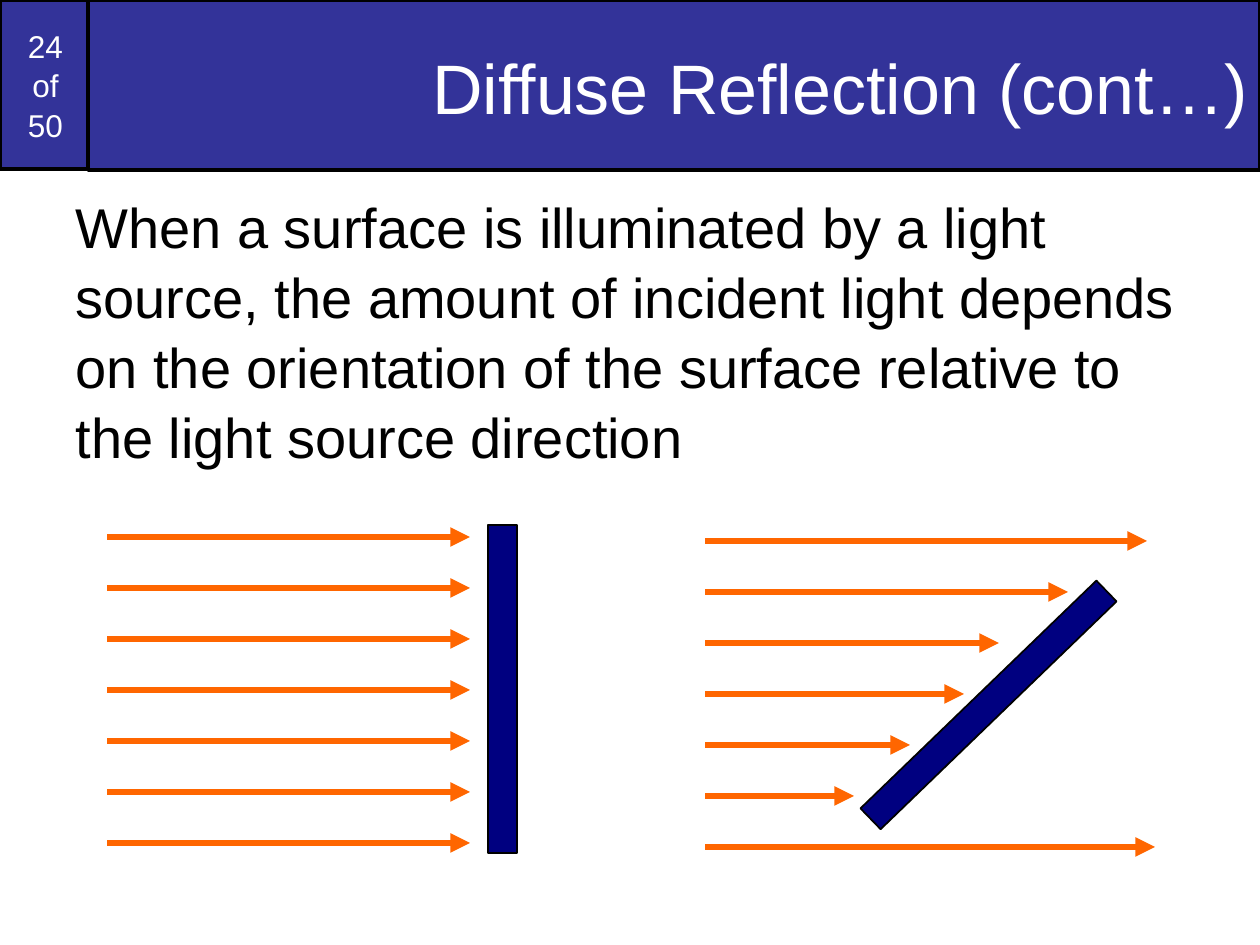
from dataclasses import dataclass

from lxml import etree
from pptx import Presentation
from pptx.dml.color import RGBColor
from pptx.enum.shapes import MSO_CONNECTOR, MSO_SHAPE
from pptx.enum.text import MSO_ANCHOR, MSO_AUTO_SIZE, PP_ALIGN
from pptx.oxml.ns import qn
from pptx.util import Emu, Pt

RECT = MSO_SHAPE.RECTANGLE
LINE = MSO_CONNECTOR.STRAIGHT
TOP, MID = MSO_ANCHOR.TOP, MSO_ANCHOR.MIDDLE
LEFT, RIGHT, MIDST = PP_ALIGN.LEFT, PP_ALIGN.RIGHT, PP_ALIGN.CENTER
FIXED = MSO_AUTO_SIZE.NONE
SCALE = 914400 / 126


@dataclass(frozen=True)
class Theme:
    font: str = "Arial"
    band: str = "333399"
    plate: str = "000080"
    ray: str = "FF6600"
    ink: str = "000000"
    white: str = "FFFFFF"
    title: int = 40
    body: int = 32
    count: int = 18
    edge: float = 2
    rim: float = 1
    beam: float = 3.75
    lead: float = 1.04


@dataclass(frozen=True)
class Box:
    x: int
    y: int
    w: int
    h: int


@dataclass(frozen=True)
class Scene:
    plate: Box
    turn: int
    start: int
    top: int
    ends: tuple[int, ...]


THEME = Theme()
STEP = 51
SCENES = (
    Scene(Box(488, 525, 29, 328), 0, 110, 537, (470,) * 7),
    Scene(Box(974, 541, 29, 328), 46, 708, 541,
          (1147, 1068, 999, 964, 910, 854, 1155)),
)


def px(n: int) -> Emu:
    return Emu(round(n * SCALE))


def tint(code: str) -> RGBColor:
    return RGBColor.from_string(code)


def place(shape, box: Box) -> None:
    shape.left, shape.top = px(box.x), px(box.y)
    shape.width, shape.height = px(box.w), px(box.h)


def paint(shape, fill: str, width: float) -> None:
    shape.fill.solid()
    shape.fill.fore_color.rgb = tint(fill)
    shape.line.color.rgb = tint(THEME.ink)
    shape.line.width = Pt(width)


def add_rect(slide, box: Box, fill: str, width: float):
    shape = slide.shapes.add_shape(RECT, *map(px, (box.x, box.y, box.w, box.h)))
    shape.shadow.inherit = False
    paint(shape, fill, width)
    return shape


def write(shape, lines: tuple[str, ...], size: int, hue: str, align, anchor) -> None:
    frame = shape.text_frame
    frame.word_wrap = True
    frame.auto_size = FIXED
    frame.vertical_anchor = anchor
    para = frame.paragraphs[0]
    props = para._p.get_or_add_pPr()
    props.set("marL", "0")
    props.set("indent", "0")
    etree.SubElement(props, qn("a:buNone"))
    para.alignment = align
    para.space_before = Pt(0)
    para.line_spacing = THEME.lead
    for i, line in enumerate(lines):
        if i:
            para.add_line_break()
        run = para.add_run()
        run.text = line
        run.font.name = THEME.font
        run.font.size = Pt(size)
        run.font.color.rgb = tint(hue)


def add_ray(slide, start: int, end: int, y: int) -> None:
    ray = slide.shapes.add_connector(LINE, px(start), px(y), px(end), px(y))
    ray.line.color.rgb = tint(THEME.ray)
    ray.line.width = Pt(THEME.beam)
    stroke = ray.line._get_or_add_ln()
    stroke.set("cap", "sq")
    etree.SubElement(stroke, qn("a:tailEnd"), type="triangle")
    etree.SubElement(ray._element.spPr, qn("a:effectLst"))


def add_scene(slide, scene: Scene) -> None:
    plate = add_rect(slide, scene.plate, THEME.plate, THEME.rim)
    plate.rotation = scene.turn
    for i, end in enumerate(scene.ends):
        add_ray(slide, scene.start, end, scene.top + i * STEP)


def main() -> None:
    deck = Presentation()
    deck.slide_width, deck.slide_height = px(1260), px(945)
    slide = deck.slides.add_slide(deck.slide_layouts[1])
    title, body = slide.placeholders

    count = add_rect(slide, Box(0, 0, 91, 169), THEME.band, THEME.edge)
    title._element.addprevious(count._element)
    write(count, ("24", "of", "50"), THEME.count, THEME.white, MIDST, MID)

    place(title, Box(88, 0, 1172, 170))
    paint(title, THEME.band, THEME.edge)
    write(title, ("Diffuse Reflection (cont…)",), THEME.title, THEME.white, RIGHT, MID)

    place(body, Box(63, 184, 1134, 761))
    text = ("When a surface is illuminated by a light source, the amount of "
            "incident light depends on the orientation of the surface relative "
            "to the light source direction")
    write(body, (text,), THEME.body, THEME.ink, LEFT, TOP)

    for scene in SCENES:
        add_scene(slide, scene)
    deck.save("out.pptx")


if __name__ == "__main__":
    main()
